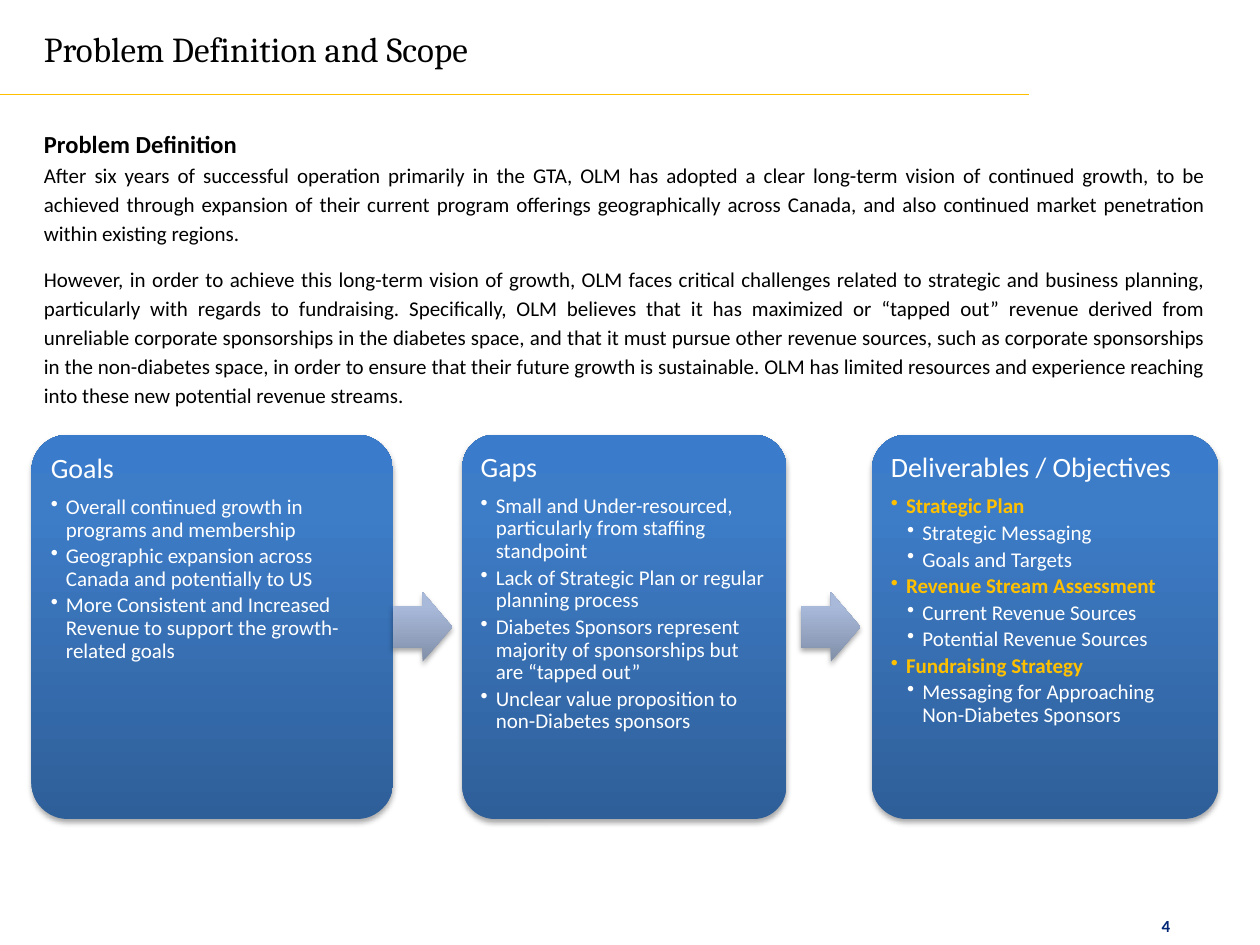
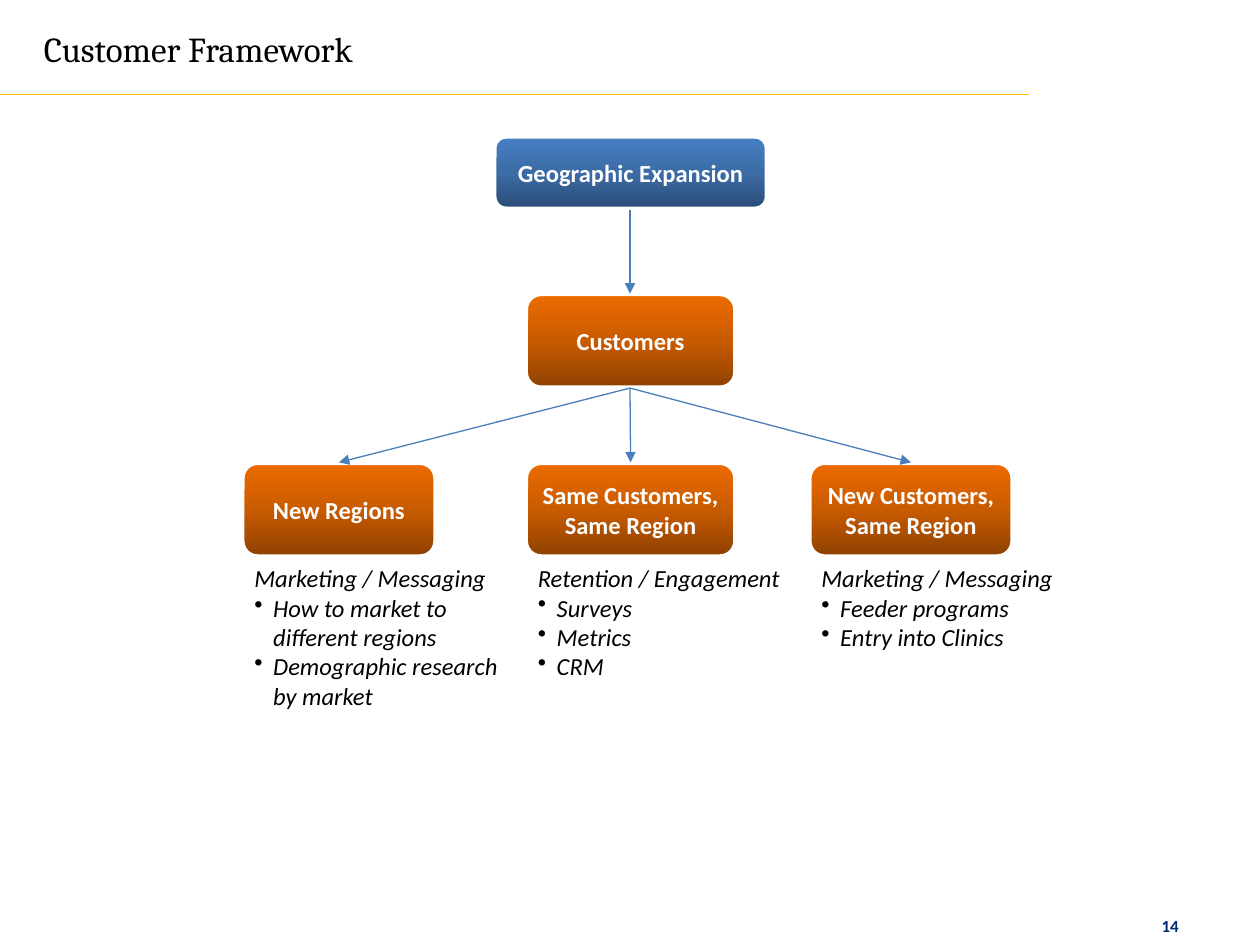
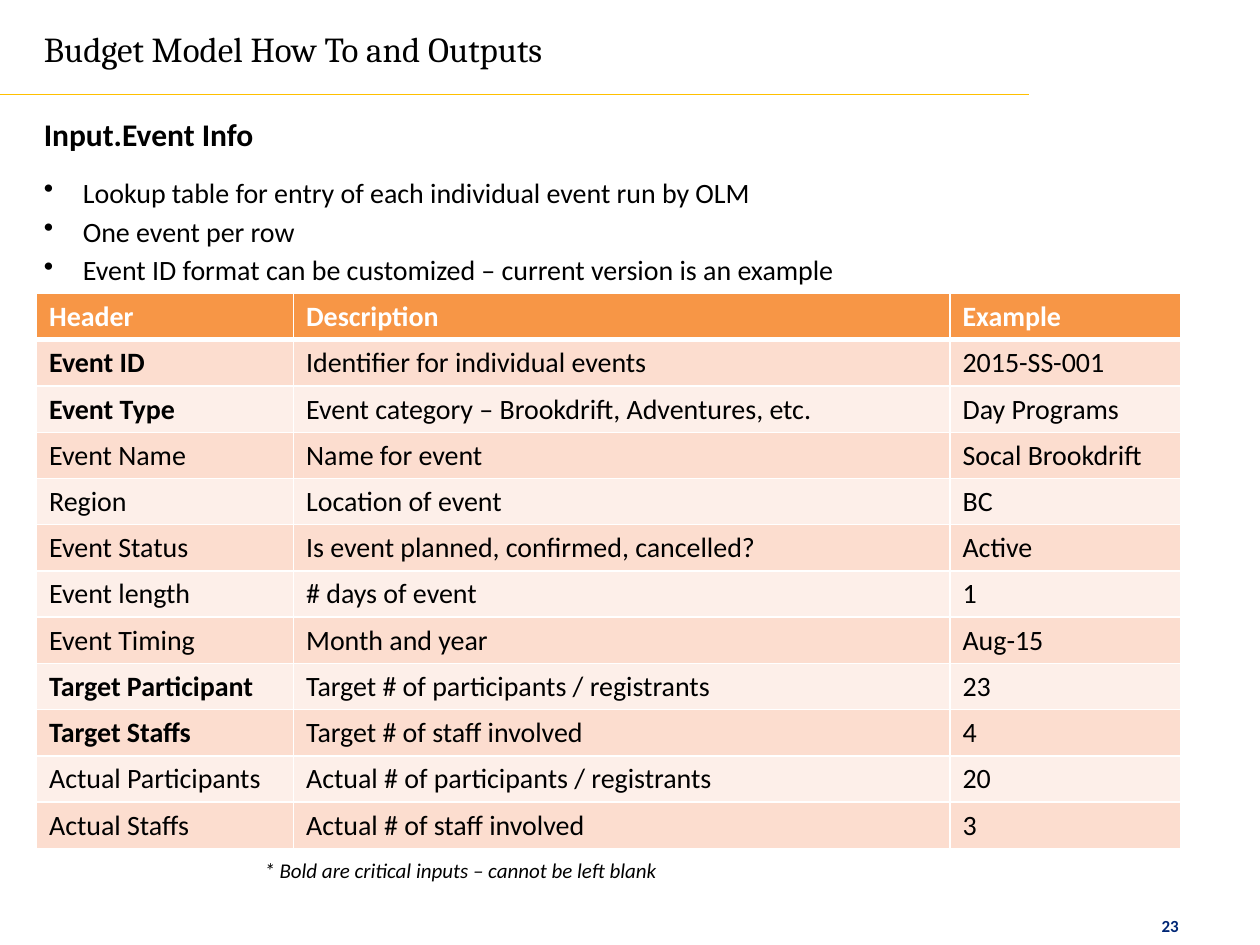
from copy import deepcopy
from dataclasses import dataclass

from pptx import Presentation
from pptx.dml.color import RGBColor
from pptx.enum.shapes import MSO_CONNECTOR as Connector, MSO_SHAPE as Preset
from pptx.enum.text import MSO_ANCHOR as Anchor, PP_ALIGN as Align
from pptx.oxml import parse_xml
from pptx.oxml.ns import nsdecls, qn
from pptx.util import Inches, Pt


@dataclass(frozen=True)
class Theme:
    heading_font: str = "Cambria"
    body_font: str = "Calibri"
    black: str = "000000"
    white: str = "FFFFFF"
    gold: str = "FFC000"
    navy: str = "002776"
    connector: str = "4B7EBC"
    table_header: str = "F79646"
    table_bands: tuple = ("FCDDCF", "FDEFE9")
    card_fill: tuple = ((0, "2F5F99"), (0.8, "3D7CC7"), (1, "3A7CCB"))
    arrow_fill: tuple = ((0, "818FA8"), (0.8, "A8B9DA"), (1, "A7BADC"))
    blue_node: tuple = ((0, "2A4C75"), (0.5, "3C6CA6"), (1, "4780C5"))
    orange_node: tuple = ((0, "8D4000"), (0.5, "C85B00"), (1, "EE6B00"))
    title: float = 20
    section: float = 18
    large: float = 16
    medium: float = 14
    small: float = 12
    page: float = 9.7


THEME = Theme()


# ---------- Shared helpers ----------
def apply(target, values):
    for key, value in values.items():
        setattr(target, key, value)


def add_bullet(paragraph, left, hang):
    props = paragraph._p.get_or_add_pPr()
    props.set("marL", str(Inches(left)))
    props.set("indent", str(-Inches(hang)))
    props.append(parse_xml(f'<a:buChar {nsdecls("a")} char="•"/>'))


def write(frame, lines, size, color=THEME.black, font=THEME.body_font, **shared):
    """Each line is (text, overrides); overrides win over the shared values."""
    for index, (text, own) in enumerate(lines):
        style = {"size": size, "color": color, "bold": False, "italic": False,
                 "layout": {}, "bullet": None, **shared, **own}
        paragraph = frame.paragraphs[0] if index == 0 else frame.add_paragraph()
        if style["bullet"]:
            add_bullet(paragraph, *style["bullet"])
        apply(paragraph, {"alignment": Align.LEFT, **style["layout"]})
        run = paragraph.add_run()
        run.text = text
        apply(run.font, {"name": font, "size": Pt(style["size"]),
                         "bold": style["bold"], "italic": style["italic"]})
        run.font.color.rgb = RGBColor.from_string(style["color"])


def add_text(slide, box, lines, size, wrap=True, **style):
    frame = slide.shapes.add_textbox(*map(Inches, box)).text_frame
    frame.word_wrap = wrap
    write(frame, lines, size, **style)


def add_gradient_shape(slide, preset, box, stops, shadow=False):
    shape = slide.shapes.add_shape(preset, *map(Inches, box))
    shape.fill.gradient()
    shape.fill.gradient_angle = 90
    stop_list = shape._element.spPr.find(".//" + qn("a:gsLst"))
    stop_list.append(deepcopy(stop_list[-1]))
    for stop, (position, color) in zip(shape.fill.gradient_stops, stops):
        stop.position = position
        stop.color.rgb = RGBColor.from_string(color)
    shape.line.fill.background()
    shape.shadow.inherit = False
    if shadow:
        shape._element.spPr.find(qn("a:effectLst")).append(parse_xml(
            f'<a:outerShdw {nsdecls("a")} blurRad="{Pt(3.1)}" dist="{Pt(1.8)}" '
            'dir="5400000" rotWithShape="0"><a:srgbClr val="000000">'
            '<a:alpha val="35000"/></a:srgbClr></a:outerShdw>'))
    return shape


def add_line(slide, start, end, color, arrow=False):
    line = slide.shapes.add_connector(Connector.STRAIGHT, *map(Inches, start + end))
    line.line.color.rgb = RGBColor.from_string(color)
    line.line.width = Pt(0.75)
    if arrow:
        line.line._get_or_add_ln().append(
            parse_xml(f'<a:tailEnd {nsdecls("a")} type="triangle"/>'))
    line._element.spPr.append(parse_xml(f'<a:effectLst {nsdecls("a")}/>'))


def start_slide(deck, title, title_width, page):
    slide = deck.slides.add_slide(deck.slide_layouts[6])
    add_text(slide, (0.25, 0.17, title_width, 0.44), [(title, {})], THEME.title,
             wrap=False, font=THEME.heading_font)
    add_line(slide, (0, 0.75), (8.17, 0.75), THEME.gold)
    add_text(slide, (9.12, 7.22, 0.38, 0.15), [(page, {})], THEME.page,
             color=THEME.navy, bold=True)
    return slide


# ---------- Problem definition ----------
PROBLEM = [
    "After six years of successful operation primarily in the GTA, OLM has adopted a clear "
    "long-term vision of continued growth, to be achieved through expansion of their current "
    "program offerings geographically across Canada, and also continued market penetration "
    "within existing regions.",
    "However, in order to achieve this long-term vision of growth, OLM faces critical challenges "
    "related to strategic and business planning, particularly with regards to fundraising. "
    "Specifically, OLM believes that it has maximized or “tapped out” revenue derived from "
    "unreliable corporate sponsorships in the diabetes space, and that it must pursue other "
    "revenue sources, such as corporate sponsorships in the non-diabetes space, in order to "
    "ensure that their future growth is sustainable. OLM has limited resources and experience "
    "reaching into these new potential revenue streams.",
]
POINT, HIGHLIGHT, SUBPOINT = "point", "highlight", "subpoint"
GOALS = [
    (POINT, "Overall continued growth in programs and membership"),
    (POINT, "Geographic expansion across Canada and potentially to US"),
    (POINT, "More Consistent and Increased Revenue to support the growth-related goals"),
]
GAPS = [
    (POINT, "Small and Under-resourced, particularly from staffing standpoint"),
    (POINT, "Lack of Strategic Plan or regular planning process"),
    (POINT, "Diabetes Sponsors represent majority of sponsorships but are “tapped out”"),
    (POINT, "Unclear value proposition to non-Diabetes sponsors"),
]
DELIVERABLES = [
    (HIGHLIGHT, "Strategic Plan"),
    (SUBPOINT, "Strategic Messaging"),
    (SUBPOINT, "Goals and Targets"),
    (HIGHLIGHT, "Revenue Stream Assessment"),
    (SUBPOINT, "Current Revenue Sources"),
    (SUBPOINT, "Potential Revenue Sources"),
    (HIGHLIGHT, "Fundraising Strategy"),
    (SUBPOINT, "Messaging for Approaching Non-Diabetes Sponsors"),
]
# Heading, left, width, points
CARDS = [("Goals", 0.25, 2.87, GOALS), ("Gaps", 3.67, 2.57, GAPS),
         ("Deliverables / Objectives", 6.92, 2.75, DELIVERABLES)]


def add_card(slide, box, heading, points):
    card = add_gradient_shape(slide, Preset.ROUNDED_RECTANGLE, box, THEME.card_fill, shadow=True)
    card.adjustments[0] = 0.1
    frame = card.text_frame
    margins = ("margin_left", "margin_top", "margin_right", "margin_bottom")
    apply(frame, {"word_wrap": True, "vertical_anchor": Anchor.TOP,
                  **dict.fromkeys(margins, Inches(0.07))})
    spacing = {"line_spacing": 0.9, "space_after": Pt(2.2)}
    first_level = {"bullet": (0.12, 0.12), "layout": {**spacing, "level": 1}}
    styles = {
        POINT: first_level,
        HIGHLIGHT: {**first_level, "color": THEME.gold, "bold": True},
        SUBPOINT: {"bullet": (0.25, 0.12), "layout": {**spacing, "level": 2}},
    }
    title = (heading, {"size": THEME.large, "layout": {**spacing, "space_after": Pt(6.8)}})
    write(frame, [title] + [(text, styles[kind]) for kind, text in points],
          THEME.small, color=THEME.white)


def add_flow(slide, top, height):
    arrow_width, arrow_height = 0.47, 0.55
    for heading, left, width, points in CARDS:
        add_card(slide, (left, top, width, height), heading, points)
    for left in (3.12, 6.36):
        arrow_top = top + (height - arrow_height) / 2
        arrow = add_gradient_shape(slide, Preset.RIGHT_ARROW,
                                   (left, arrow_top, arrow_width, arrow_height),
                                   THEME.arrow_fill, shadow=True)
        arrow.adjustments[0] = 0.6


def problem_slide(deck):
    slide = start_slide(deck, "Problem Definition and Scope", 3.75, "4")
    spacing = {"alignment": Align.JUSTIFY, "line_spacing": 1.15}
    body = {"layout": {**spacing, "space_after": Pt(10)}}
    heading = ("Problem Definition", {"size": THEME.medium, "bold": True, "layout": spacing})
    add_text(slide, (0.25, 0.94, 9.42, 2.5),
             [heading] + [(text, body) for text in PROBLEM], THEME.small)
    add_flow(slide, 3.45, 3.05)


# ---------- Customer framework ----------
# Node, node width, heading, actions, text width, wraps
SEGMENTS = [
    ("New Regions", 1.54, "Marketing / Messaging",
     ["How to market to different regions", "Demographic research by market"], 2.17, True),
    ("Same Customers, Same Region", 1.67, "Retention / Engagement",
     ["Surveys", "Metrics", "CRM"], 2.25, True),
    ("New Customers, Same Region", 1.62, "Marketing / Messaging",
     ["Feeder programs", "Entry into Clinics"], 2.06, False),
]


def add_node(slide, box, label, stops):
    node = add_gradient_shape(slide, Preset.ROUNDED_RECTANGLE, box, stops)
    node.line.color.rgb = RGBColor.from_string(THEME.white)
    node.line.width = Pt(3)
    apply(node.text_frame, {"word_wrap": True, "vertical_anchor": Anchor.MIDDLE})
    write(node.text_frame, [(label, {})], THEME.medium, color=THEME.white, bold=True,
          layout={"alignment": Align.CENTER})


def add_segments(slide, left, top, pitch, origin):
    node_height = 0.75
    for column, (label, width, heading, actions, text_width, wraps) in enumerate(SEGMENTS):
        x = left + column * pitch
        add_node(slide, (x, top, width, node_height), label, THEME.orange_node)
        add_line(slide, origin, (x + width / 2, top), THEME.connector, arrow=True)
        lines = [(heading, {})] + [(action, {"bullet": (0.15, 0.15)}) for action in actions]
        text_height = 0.1 + 0.24 * len(lines)
        add_text(slide, (x, top + node_height, text_width, text_height), lines,
                 THEME.medium, wrap=wraps, italic=True)


def customer_slide(deck):
    slide = start_slide(deck, "Customer Framework", 2.81, "14")
    center = 5
    add_node(slide, (3.92, 1.08, 2.17, 0.58), "Geographic Expansion", THEME.blue_node)
    add_node(slide, (4.17, 2.33, 1.67, 0.75), "Customers", THEME.orange_node)
    add_line(slide, (center, 1.67), (center, 2.33), THEME.connector, arrow=True)
    add_segments(slide, 1.92, 3.67, 2.25, (center, 3.08))


# ---------- Budget model ----------
NOTES = ["Lookup table for entry of each individual event run by OLM",
         "One event per row",
         "Event ID format can be customized – current version is an example"]
FIELDS = [
    ("Header", "Description", "Example"),
    ("Event ID", "Identifier for individual events", "2015-SS-001"),
    ("Event Type", "Event category – Brookdrift, Adventures, etc.", "Day Programs"),
    ("Event Name", "Name for event", "Socal Brookdrift"),
    ("Region", "Location of event", "BC"),
    ("Event Status", "Is event planned, confirmed, cancelled?", "Active"),
    ("Event length", "# days of event", "1"),
    ("Event Timing", "Month and year", "Aug-15"),
    ("Target Participant", "Target # of participants / registrants", "23"),
    ("Target Staffs", "Target # of staff involved", "4"),
    ("Actual Participants", "Actual # of participants / registrants", "20"),
    ("Actual Staffs", "Actual # of staff involved", "3"),
]
CRITICAL = {"Event ID", "Event Type", "Target Participant", "Target Staffs"}


def set_borders(cell, widths):
    props = cell._tc.get_or_add_tcPr()
    for index, (side, width) in enumerate(widths.items()):
        props.insert(index, parse_xml(
            f'<a:ln{side} {nsdecls("a")} w="{Pt(width)}"><a:solidFill>'
            f'<a:srgbClr val="{THEME.white}"/></a:solidFill></a:ln{side}>'))


def add_field_table(slide, box, column_widths):
    table = slide.shapes.add_table(len(FIELDS), len(column_widths), *map(Inches, box)).table
    for column, width in zip(table.columns, column_widths):
        column.width = Inches(width)
    for row, values in enumerate(FIELDS):
        table.rows[row].height = Inches(box[3] / len(FIELDS))
        header = row == 0
        for column, value in enumerate(values):
            cell = table.cell(row, column)
            cell.fill.solid()
            fill = THEME.table_header if header else THEME.table_bands[(row - 1) % 2]
            cell.fill.fore_color.rgb = RGBColor.from_string(fill)
            set_borders(cell, {"L": 1, "R": 1, "T": 3 if row == 1 else 1, "B": 3 if header else 1})
            write(cell.text_frame, [(value, {})], THEME.large,
                  color=THEME.white if header else THEME.black,
                  bold=header or value in CRITICAL)


def budget_slide(deck):
    slide = start_slide(deck, "Budget Model How To and Outputs", 4.36, "23")
    spacing = {"line_spacing": 1.15}
    heading = ("Input.Event Info", {"size": THEME.section, "bold": True,
                                    "layout": {**spacing, "space_after": Pt(10)}})
    note = {"bullet": (0.31, 0.31), "layout": spacing}
    add_field_table(slide, (0.29, 2.33, 9.08, 4.4), (2.04, 5.21, 1.83))
    add_text(slide, (0.25, 0.82, 9.5, 1.52),
             [heading] + [(text, note) for text in NOTES], THEME.large)
    add_text(slide, (2, 6.76, 5.23, 0.3),
             [("* Bold are critical inputs – cannot be left blank", {})],
             THEME.small, italic=True)


def main():
    deck = Presentation()
    deck.slide_width, deck.slide_height = Inches(10), Inches(7.5)
    for build in (problem_slide, customer_slide, budget_slide):
        build(deck)
    deck.save("out.pptx")


if __name__ == "__main__":
    main()
